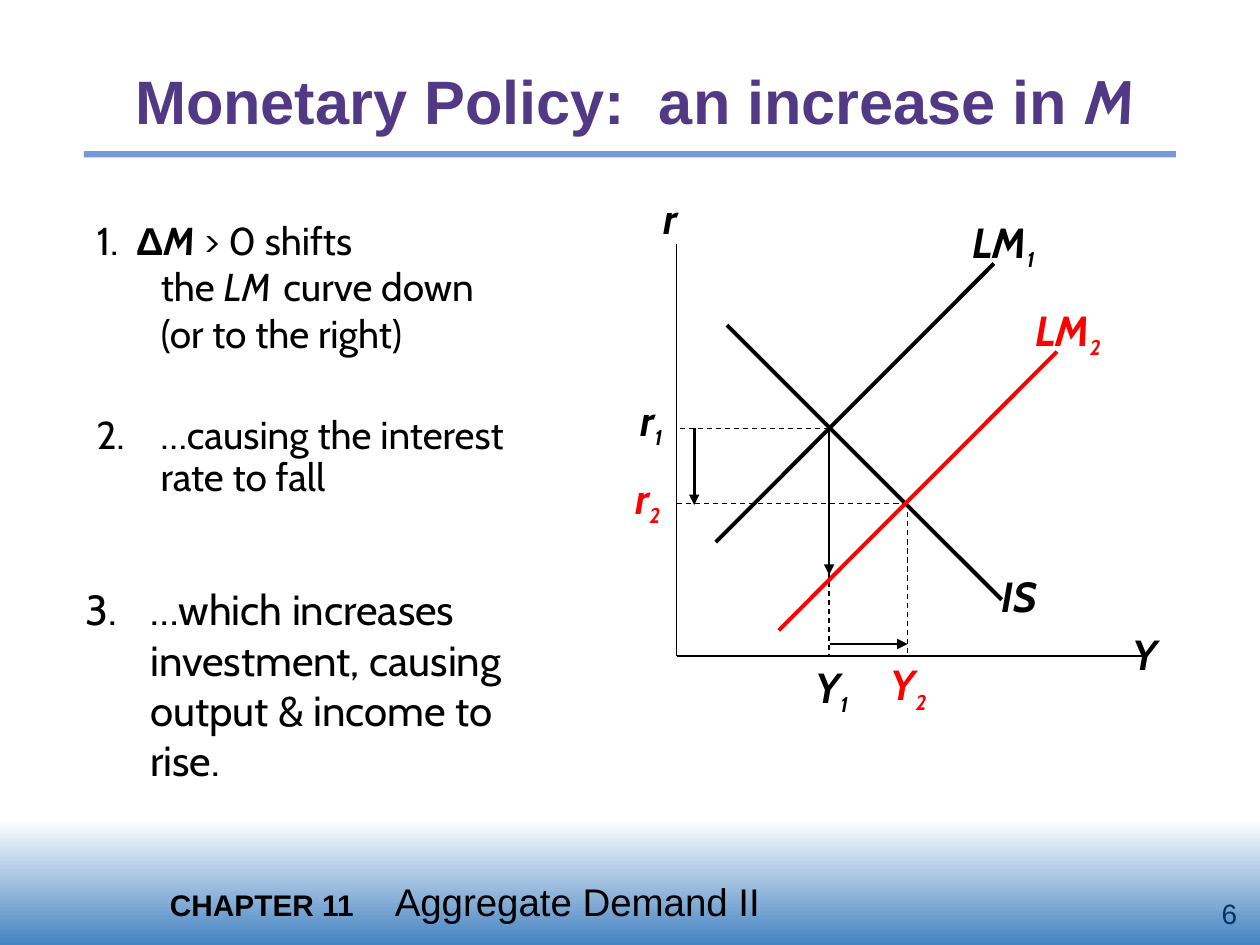
import pptx
import pptx.util
import pptx.dml.color
import pptx.enum.dml
import pptx.enum.shapes
import pptx.enum.text
import pptx.oxml.ns
from lxml import etree

Pt = pptx.util.Pt
Align = pptx.enum.text.PP_ALIGN
Anchor = pptx.enum.text.MSO_ANCHOR
qn = pptx.oxml.ns.qn

THEME = {
    "sans": "Arial", "hand": "Cabin",
    "ink": "000000", "accent": "FF0000", "title": "523985", "rule": "7598DD",
    "band_top": "FFFFFF", "band_end": "4583C1", "number": "003366",
    "title_size": 35, "list_size": 22.2, "gap_size": 9.2, "label_size": 24,
    "sub_size": 21, "chapter_size": 17, "footer_size": 22, "number_size": 16,
    "curve": 2.25, "arrow": 1.5, "axis": 1, "guide": 0.75,
}
HANGING = 36.75

TITLE = [("Monetary Policy:  an increase in ", {"font": "sans"}), ("M", {"italic": True})]
STEP_ONE = [
    ("1.  ", {}),
    ("Δ", {"font": "sans", "bold": True}),
    ("M", {"bold": True, "italic": True}),
    (" > 0 shifts \nthe ", {}),
    ("LM ", {"italic": True}),
    (" ", {"size": "gap_size"}),
    ("curve down\n(or to the right)", {}),
]
LATER_STEPS = [
    ("2.\t…causing the interest rate to fall", (48, 234, 258, 78), "list_size", 0.9),
    ("3.\t…which increases investment, causing output & income to rise.",
     (42, 330, 264, 126), "label_size", 1.0),
]
FOOTER = [
    ("CHAPTER 11", {"bold": True, "size": "chapter_size"}),
    ("\tAggregate Demand II", {"size": "footer_size"}),
]

ORIGIN_X, ORIGIN_Y = 386.6, 375
Y1, Y2 = 473.8, 518.6
R1, R2 = 244.8, 287.6
SHIFT_X, SHIFT_Y = 36, 50.4
LM_START, LM_END, LM_LABEL = (409, 309.8), (568, 150.6), (548.6, 120.2)

LINES = [
    ((ORIGIN_X, 139.7), (ORIGIN_X, ORIGIN_Y), "axis", "ink"),
    ((ORIGIN_X, ORIGIN_Y), (653, ORIGIN_Y), "axis", "ink"),
    ((415.4, 185.8), (572.4, 342.7), "curve", "ink"),
    ((Y1, R1), (ORIGIN_X, R1), "guide", "ink"),
    ((Y1, R1), (Y1, ORIGIN_Y), "guide", "ink"),
    ((Y2, R2), (ORIGIN_X, R2), "guide", "ink"),
    ((Y2, R2), (Y2, ORIGIN_Y), "guide", "ink"),
    ((474.5, 368), (Y2, 368), "arrow", "ink"),
    ((396.7, R1), (396.7, 288.6), "arrow", "ink"),
    ((Y1, R1), (Y1, 328.5), "arrow", "ink"),
]
LABELS = [
    ("IS", "", (565.2, 322.6, 54, 36), "ink", Align.LEFT),
    ("Y", "", (632, 355.7, 45, 36), "ink", Align.CENTER),
    ("r", "", (367.2, 106.6, 32.4, 36), "ink", Align.CENTER),
    ("r", "1", (354.2, 221.8, 36, 39), "ink", Align.CENTER),
    ("r", "2", (351.4, 266.4, 37.4, 39), "accent", Align.CENTER),
    ("Y", "1", (454.3, 374.4, 41.8, 39), "ink", Align.CENTER),
    ("Y", "2", (498.2, 373, 41.8, 39), "accent", Align.CENTER),
]
for step, color in enumerate(("ink", "accent")):
    dx, dy = step * SHIFT_X, step * SHIFT_Y
    LINES.append(((LM_START[0] + dx, LM_START[1] + dy),
                  (LM_END[0] + dx, LM_END[1] + dy), "curve", color))
    LABELS.append(("LM", str(step + 1), (LM_LABEL[0] + dx, LM_LABEL[1] + dy, 63.4, 39),
                   color, Align.LEFT))


def rgb(name):
    return pptx.dml.color.RGBColor.from_string(THEME[name])


def place(shape, box):
    shape.left, shape.top, shape.width, shape.height = map(Pt, box)


def add_span(para, text, size, color="ink", font="hand", bold=False, italic=False, baseline=0):
    for index, part in enumerate(text.split("\n")):
        if index:
            para.add_line_break()
        span = para.add_run()
        span.text = part
        span.font.size = Pt(THEME[size])
        span.font.name = THEME[font]
        span.font.color.rgb = rgb(color)
        span.font.bold, span.font.italic = bold, italic
        if baseline:
            span.font._element.set("baseline", str(baseline))


def fill_text(shape, spans, align=Align.LEFT, anchor=Anchor.TOP, wrap=True, **style):
    frame = shape.text_frame
    frame.word_wrap = wrap
    frame.auto_size = pptx.enum.text.MSO_AUTO_SIZE.NONE
    frame.vertical_anchor = anchor
    para = frame.paragraphs[0]
    para.alignment = align
    para.space_before = Pt(0)
    for text, own in spans:
        add_span(para, text, **{**style, **own})
    return para


def add_text(page, box, spans, **options):
    shape = page.shapes.add_textbox(*map(Pt, box))
    return fill_text(shape, spans, **options)


def hang(para):
    properties = para._p.get_or_add_pPr()
    properties.set("marL", str(Pt(HANGING)))
    properties.set("indent", str(-Pt(HANGING)))
    etree.SubElement(properties, qn("a:buNone"))


def add_bar(page, box):
    shape = page.shapes.add_shape(pptx.enum.shapes.MSO_SHAPE.RECTANGLE, *map(Pt, box))
    shape.shadow.inherit = False
    shape.line.fill.background()
    return shape


def add_line(page, start, end, kind, color):
    line = page.shapes.add_connector(
        pptx.enum.shapes.MSO_CONNECTOR.STRAIGHT, *map(Pt, start + end))
    line.line.width = Pt(THEME[kind])
    line.line.color.rgb = rgb(color)
    if kind == "guide":
        line.line.dash_style = pptx.enum.dml.MSO_LINE.DASH
    if kind == "arrow":
        etree.SubElement(line.line._get_or_add_ln(), qn("a:tailEnd"), type="triangle")
    etree.SubElement(line._element.spPr, qn("a:effectLst"))


def main():
    deck = pptx.Presentation()
    deck.slide_width, deck.slide_height = Pt(720), Pt(540)
    page = deck.slides.add_slide(deck.slide_layouts[1])

    band = add_bar(page, (0, 468, 720, 72))
    band.fill.gradient()
    band.fill.gradient_angle = 270
    for stop, position, color in zip(band.fill.gradient_stops, (0, 1), ("band_top", "band_end")):
        stop.position = position
        stop.color.rgb = rgb(color)
    rule = add_bar(page, (48, 86.4, 624, 3.6))
    rule.fill.solid()
    rule.fill.fore_color.rgb = rgb("rule")

    place(page.shapes.title, (36, 24, 654, 66))
    fill_text(page.shapes.title, TITLE, align=Align.CENTER, anchor=Anchor.MIDDLE,
              size="title_size", color="title", bold=True)
    body = page.placeholders[1]
    place(body, (48, 120, 264, 96))
    hang(fill_text(body, STEP_ONE, size="list_size"))
    for text, box, size, spacing in LATER_STEPS:
        para = add_text(page, box, [(text, {})], size=size)
        para.line_spacing = spacing
        hang(para)

    for line in LINES:
        add_line(page, *line)
    for name, subscript, box, color, align in LABELS:
        spans = [(name, {})]
        if subscript:
            spans.append((subscript, {"size": "sub_size", "baseline": -25000}))
        add_text(page, box, spans, align=align, wrap=align == Align.LEFT,
                 size="label_size", color=color, bold=True, italic=True)

    footer = add_text(page, (90, 498, 600, 34), FOOTER, size="footer_size", font="sans")
    tabs = etree.SubElement(footer._p.get_or_add_pPr(), qn("a:tabLst"))
    etree.SubElement(tabs, qn("a:tab"), pos=str(Pt(128.5)), algn="l")
    add_text(page, (624, 510, 90, 24), [("6", {})], align=Align.RIGHT,
             anchor=Anchor.MIDDLE, size="number_size", color="number", font="sans")
    deck.save("out.pptx")


if __name__ == "__main__":
    main()
